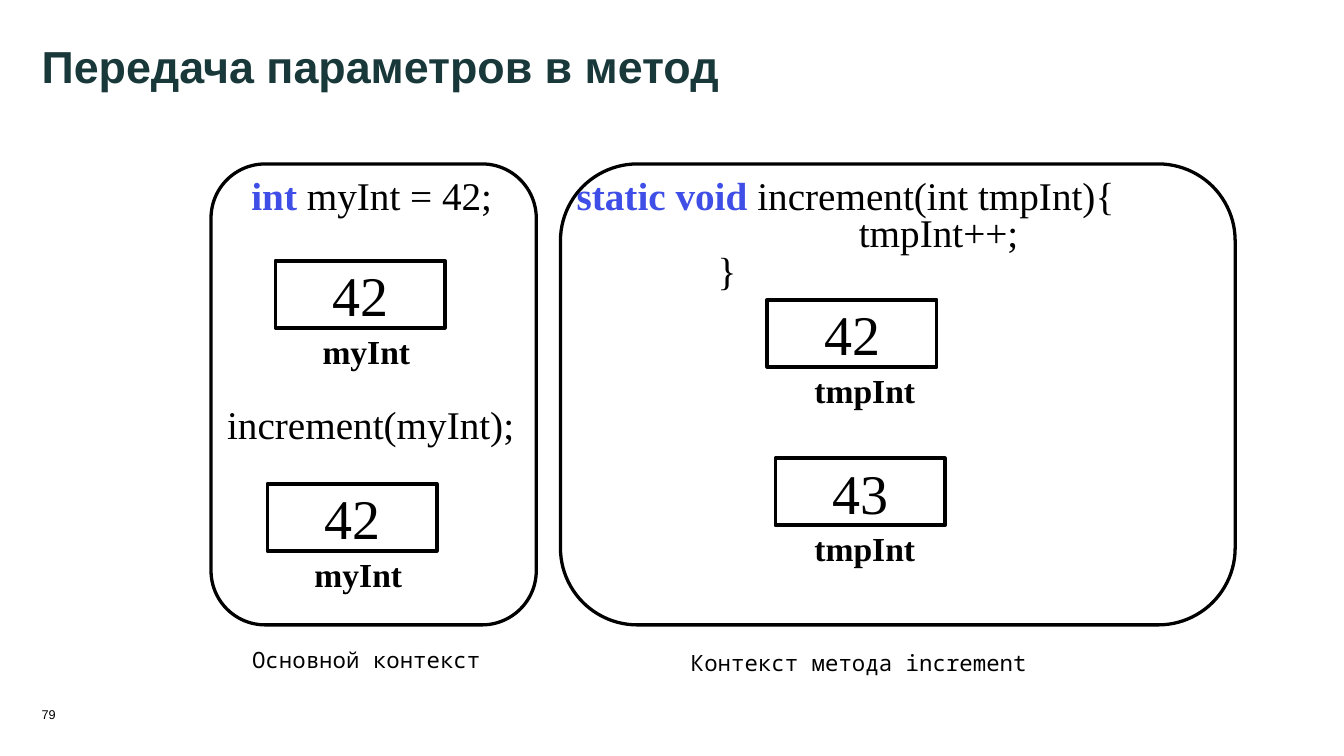
"""Build the slide on passing parameters to a method."""
from lxml.etree import SubElement
from pptx import Presentation
from pptx.dml.color import RGBColor
from pptx.enum.shapes import MSO_SHAPE
from pptx.enum.text import MSO_ANCHOR, PP_ALIGN
from pptx.oxml.ns import qn
from pptx.util import Inches, Pt

BLACK = RGBColor(0, 0, 0)
TEAL = RGBColor(0x19, 0x38, 0x3A)
BLUE = RGBColor(0x3E, 0x4E, 0xE6)
SANS, SERIF, MONO = "Arial", "Times New Roman", "Noto Sans Mono"

TITLE = "Передача параметров в метод"
NUMBER = "79"
PANELS = [(1.57, 2.42), (4.17, 5.02)]
CELLS = [
    ("42", 2.05, 1.94, "myInt", 2.4, 0.66),
    ("42", 5.71, 2.23, "tmpInt", 6.06, 0.76),
    ("42", 1.99, 3.6, "myInt", 2.34, 0.66),
    ("43", 5.77, 3.41, "tmpInt", 6.06, 0.76),
]
CODES = [
    ("int", [" myInt = 42;"], (1.87, 1.34, 1.81, 0.4)),
    ("", ["increment(myInt);"], (1.69, 3.05, 2.24, 0.57)),
    ("static void", [" increment(int tmpInt){", "\t\ttmpInt++;", "\t}"],
     (4.29, 1.34, 4.05, 0.85)),
]
NOTES = [
    ("Основной контекст", (1.75, 4.76, 1.95, 0.3)),
    ("Контекст метода increment", (4.53, 4.78, 3.72, 0.3)),
]
TOP, TALL = 1.22, 3.43
WIDE, HIGH, DROP = 1.26, 0.5, 0.52
TAB = 1.05


def style(font, size, name, color=BLACK, bold=False):
    font.size, font.name, font.bold = Pt(size), name, bold
    font.color.rgb = color


def bare(frame, wrap):
    frame.margin_left = frame.margin_right = 0
    frame.margin_top = frame.margin_bottom = 0
    frame.word_wrap = wrap


def label(slide, text, area, look, wrap=False):
    box = slide.shapes.add_textbox(*map(Inches, area))
    bare(box.text_frame, wrap)
    para = box.text_frame.paragraphs[0]
    para.text = text
    style(para.font, *look)
    return box.text_frame


def outline(slide, kind, area, width):
    shape = slide.shapes.add_shape(kind, *map(Inches, area))
    shape.shadow.inherit = False
    shape.fill.background()
    shape.line.color.rgb = BLACK
    shape.line.width = Pt(width)
    return shape


def cell(slide, value, left, top, name, start, width):
    box = outline(slide, MSO_SHAPE.RECTANGLE, (left, top, WIDE, HIGH), 2)
    frame = box.text_frame
    bare(frame, True)
    frame.vertical_anchor = MSO_ANCHOR.MIDDLE
    para = frame.paragraphs[0]
    para.text, para.alignment = value, PP_ALIGN.CENTER
    style(para.font, 30, SERIF)
    label(slide, name, (start, top + DROP, width, 0.3),
          (18, SERIF, BLACK, True))


def code(slide, key, lines, area):
    para = label(slide, "", area, (21, SERIF)).paragraphs[0]
    para.line_spacing = 0.8
    props = para._p.get_or_add_pPr()
    tabs = SubElement(props, qn("a:tabLst"))
    props.insert(1, tabs)
    for step in (1, 2):
        SubElement(tabs, qn("a:tab"), pos=str(Inches(TAB * step)), algn="l")
    if key:
        run = para.add_run()
        run.text = key
        style(run.font, 21, SERIF, BLUE, True)
    for row, line in enumerate(lines):
        if row:
            para.add_line_break()
        run = para.add_run()
        run.text = line
        style(run.font, 21, SERIF)


def main():
    deck = Presentation()
    deck.slide_width = Inches(10)
    deck.slide_height = deck.slide_width * 9 // 16
    slide = deck.slides.add_slide(deck.slide_layouts[6])
    label(slide, TITLE, (0.31, 0.29, 9.37, 0.71),
          (24, SANS, TEAL, True), True)
    page = label(slide, NUMBER, (0.31, 5.02, 0.31, 0.35), (6.8, SANS))
    page.vertical_anchor = MSO_ANCHOR.BOTTOM
    for item in CELLS:
        cell(slide, *item)
    for item in CODES:
        code(slide, *item)
    for left, width in PANELS:
        outline(slide, MSO_SHAPE.FLOWCHART_ALTERNATE_PROCESS,
                (left, TOP, width, TALL), 1.75)
    for text, area in NOTES:
        frame = label(slide, text, area, (12, MONO), True)
        frame.margin_top = frame.margin_bottom = Inches(0.05)
        frame.paragraphs[0].alignment = PP_ALIGN.CENTER
    deck.save("out.pptx")


if __name__ == "__main__":
    main()
